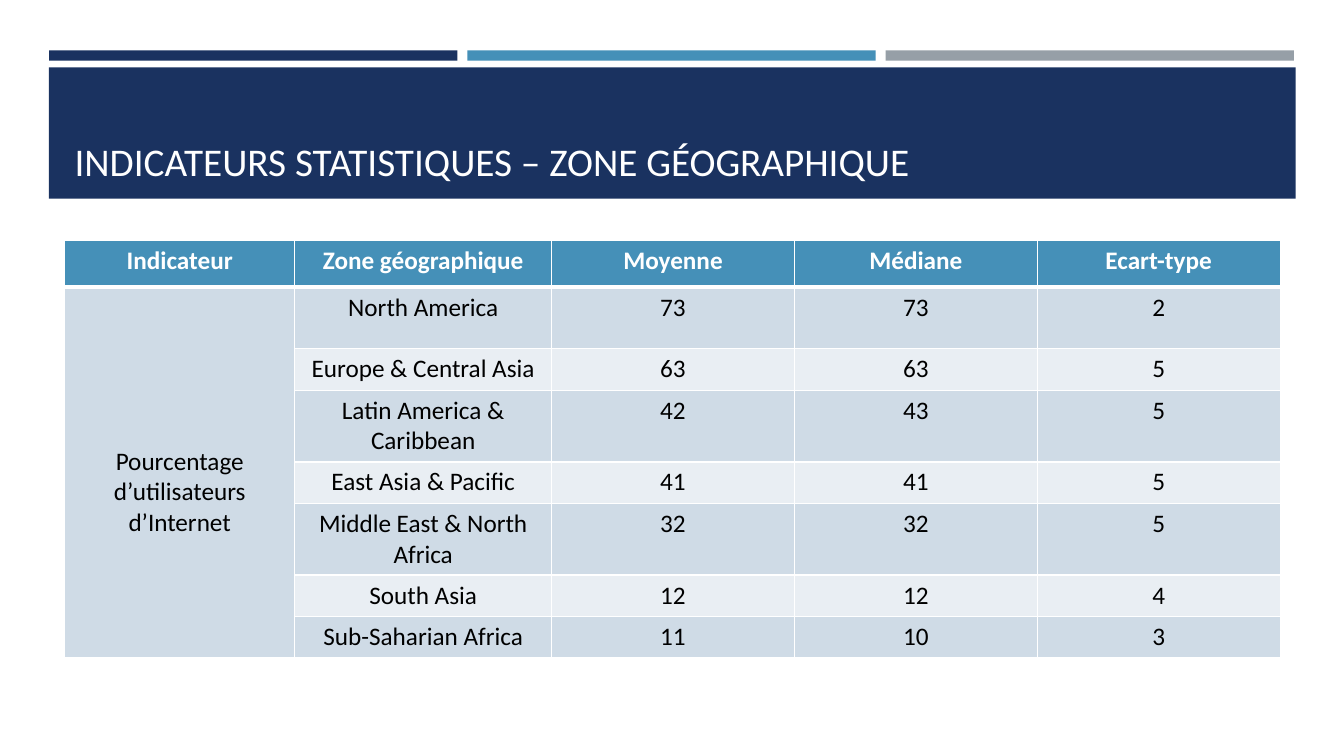
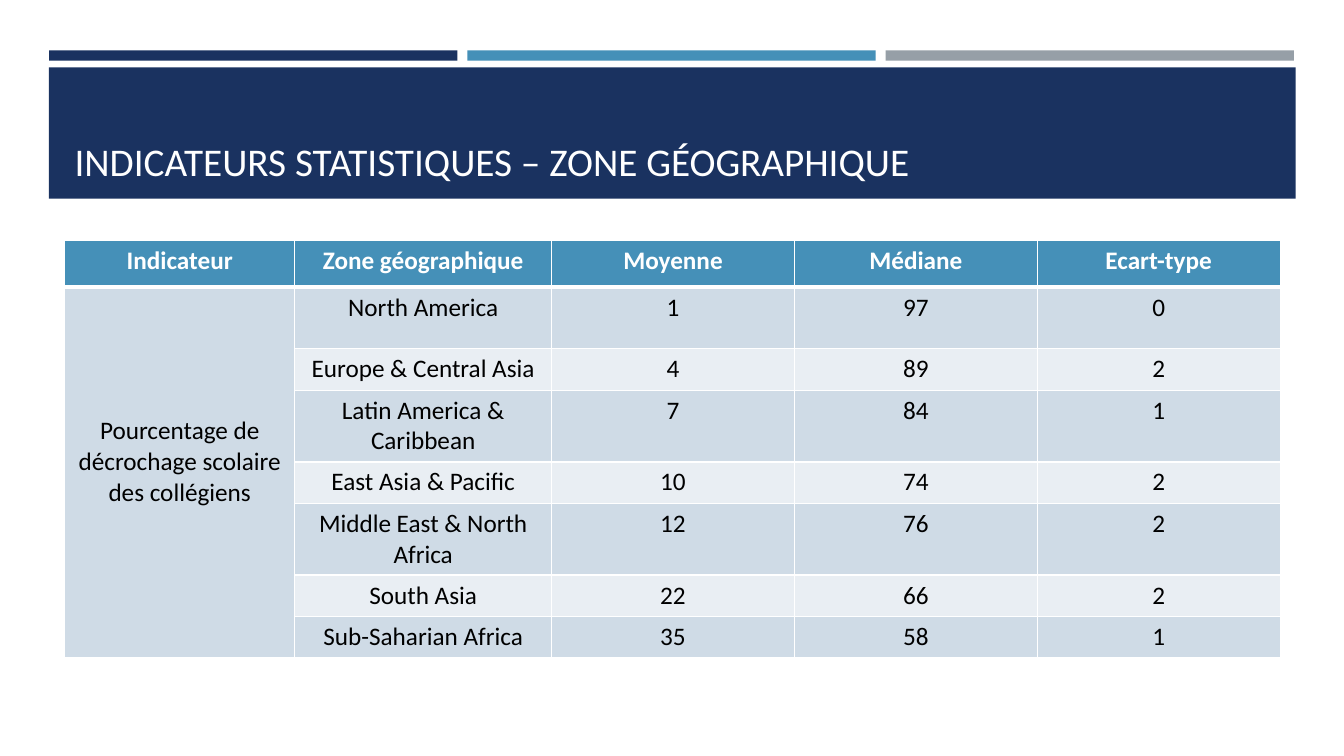
from lxml import etree
from pptx import Presentation
from pptx.dml.color import RGBColor
from pptx.enum import shapes, text
from pptx.oxml.ns import qn
from pptx.util import Cm, Pt

FONT = "Calibri"
NAVY, BLUE, GREY, WHITE, BLACK = "1A3260", "4590B8", "969FA7", "FFFFFF", "000000"
BANDS = ("CFDBE6", "E9EEF3")

TITLE = "INDICATEURS STATISTIQUES – ZONE GÉOGRAPHIQUE"
HEADERS = ("Indicateur", "Zone géographique", "Moyenne", "Médiane", "Ecart-type")
ZONES = (
    "North America",
    "Europe & Central Asia",
    "Latin America & Caribbean",
    "East Asia & Pacific",
    "Middle East & North Africa",
    "South Asia",
    "Sub-Saharian Africa",
)
# Indicator, its top inset in cm, then (mean, median, standard deviation) by zone
SLIDES = (
    ("Pourcentage d’utilisateurs d’Internet", 4.0,
     ((73, 73, 2), (63, 63, 5), (42, 43, 5), (41, 41, 5),
      (32, 32, 5), (12, 12, 4), (11, 10, 3))),
    ("Pourcentage de décrochage scolaire des collégiens", 3.23,
     ((1, 97, 0), (4, 89, 2), (7, 84, 1), (10, 74, 2),
      (12, 76, 2), (22, 66, 2), (35, 58, 1))),
)

# Lengths in cm
COLS = (5.8, 6.47, 6.12, 6.12, 6.12)
ROWS = (1.17, 1.55, 1.04, 1.81, 1.04, 1.81, 1.04, 1.04)
LEFT, TABLE_TOP = 1.63, 6.07
BAR_LEFT, BAR_WIDTH, BAR_PITCH = 1.24, 10.29, 10.54


def rgb(value):
    """Turn a hex string into a colour."""
    return RGBColor.from_string(value)


def set_font(p, size, color, bold=False):
    """Set the font of a whole paragraph."""
    p.font.name, p.font.size, p.font.bold = FONT, Pt(size), bold
    p.font.color.rgb = rgb(color)


def add_rect(s, x, y, w, h, color):
    """Add a plain filled rectangle."""
    sp = s.shapes.add_shape(shapes.MSO_SHAPE.RECTANGLE, Cm(x), Cm(y), Cm(w), Cm(h))
    sp.shadow.inherit = False
    sp.fill.solid()
    sp.fill.fore_color.rgb = rgb(color)
    sp.line.fill.background()


def add_header(s):
    """Add the three bars, the title band and the title."""
    for i, color in enumerate((NAVY, BLUE, GREY)):
        add_rect(s, BAR_LEFT + i * BAR_PITCH, 1.27, BAR_WIDTH, 0.26, color)
    add_rect(s, 1.23, 1.7, 31.42, 3.31, NAVY)
    tf = s.shapes.add_textbox(Cm(LEFT), Cm(1.96), Cm(sum(COLS)), Cm(2.82)).text_frame
    tf.word_wrap = True
    tf.vertical_anchor = text.MSO_ANCHOR.BOTTOM
    p = tf.paragraphs[0]
    p.text = TITLE
    set_font(p, 28, WHITE)


def set_borders(cell, top, bottom):
    """Draw white cell borders, 1 pt wide at the sides."""
    tcPr = cell._tc.get_or_add_tcPr()
    for side, width in (("L", 1), ("R", 1), ("T", top), ("B", bottom)):
        ln = etree.SubElement(tcPr, qn("a:ln" + side), w=str(Pt(width)))
        fill = etree.SubElement(ln, qn("a:solidFill"))
        etree.SubElement(fill, qn("a:srgbClr"), val=WHITE)


def add_table(s, indicator, inset, values):
    """Add the table of one indicator, its first column merged."""
    rows = [HEADERS]
    rows += [("", zone, *row) for zone, row in zip(ZONES, values)]
    rows[1] = (indicator, *rows[1][1:])
    table = s.shapes.add_table(len(ROWS), len(COLS), Cm(LEFT), Cm(TABLE_TOP),
                               Cm(sum(COLS)), Cm(sum(ROWS))).table
    for col, width in zip(table.columns, COLS):
        col.width = Cm(width)
    for r, (row, height) in enumerate(zip(rows, ROWS)):
        table.rows[r].height = Cm(height)
        head = r == 0
        for c, value in enumerate(row):
            cell = table.cell(r, c)
            set_borders(cell, 3 if r == 1 else 1, 3 if head else 1)
            band = BANDS[0] if c == 0 else BANDS[(r - 1) % 2]
            cell.fill.solid()
            cell.fill.fore_color.rgb = rgb(BLUE if head else band)
            p = cell.text_frame.paragraphs[0]
            p.text = str(value)
            p.alignment = text.PP_ALIGN.CENTER
            set_font(p, 18, WHITE if head else BLACK, head)
    first = table.cell(1, 0)
    first.merge(table.cell(len(ROWS) - 1, 0))
    first.margin_top = Cm(inset)


prs = Presentation()
prs.slide_width, prs.slide_height = Cm(33.87), Cm(19.05)
for indicator, inset, values in SLIDES:
    s = prs.slides.add_slide(prs.slide_layouts[6])
    add_header(s)
    add_table(s, indicator, inset, values)
prs.save("out.pptx")
